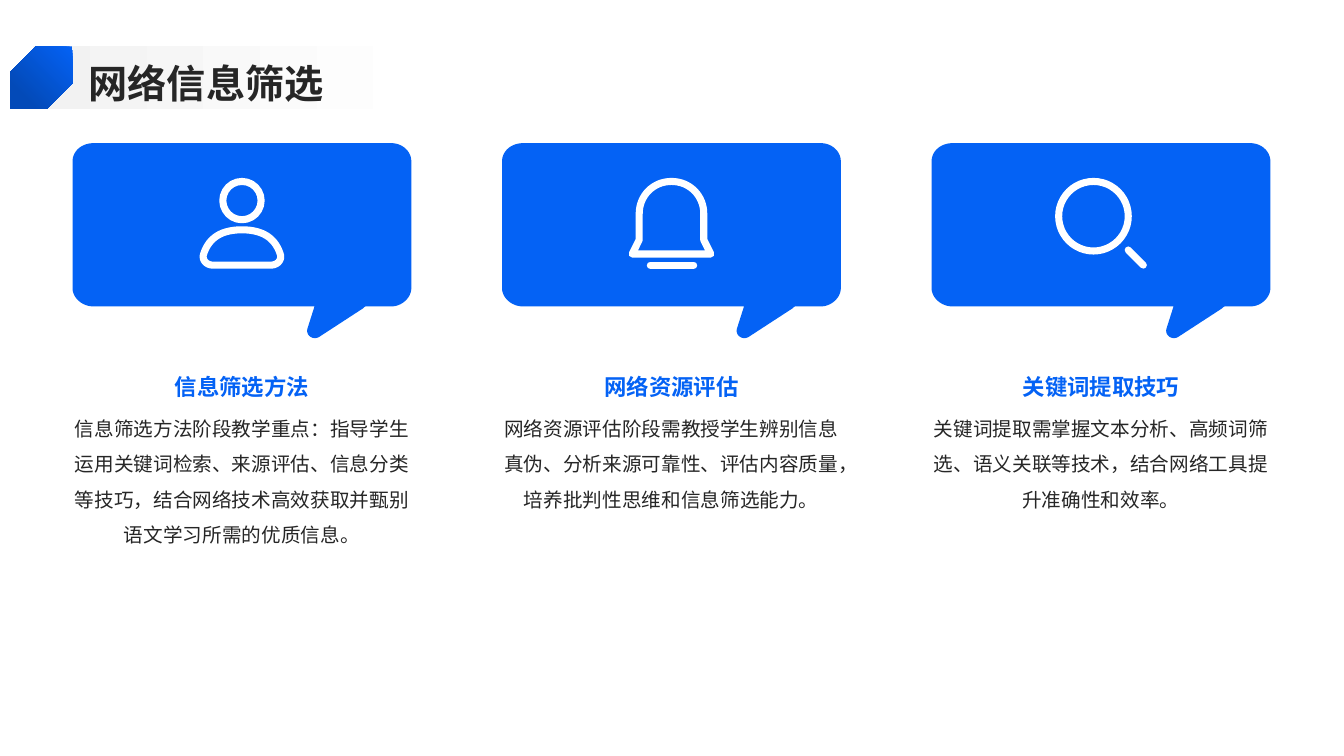
"""Build the slide on screening online information."""
from dataclasses import dataclass

from lxml import etree
from pptx import Presentation
from pptx.dml.color import RGBColor
from pptx.enum.shapes import MSO_CONNECTOR, MSO_SHAPE
from pptx.enum.text import MSO_ANCHOR, MSO_AUTO_SIZE, PP_ALIGN
from pptx.oxml.ns import qn
from pptx.util import Emu, Pt

RECT, SNIP, OVAL = MSO_SHAPE.RECTANGLE, MSO_SHAPE.SNIP_2_DIAG_RECTANGLE, MSO_SHAPE.OVAL
STRAIGHT, NO_FIT = MSO_CONNECTOR.STRAIGHT, MSO_AUTO_SIZE.NONE
TOP, MIDDLE, BOTTOM = MSO_ANCHOR.TOP, MSO_ANCHOR.MIDDLE, MSO_ANCHOR.BOTTOM
LEFT, CENTER = PP_ALIGN.LEFT, PP_ALIGN.CENTER

PX = 9144
FONT = "Noto Sans CJK SC"
COLORS = {"blue": "0462F5", "navy": "034AB8", "ink": "262626",
          "white": "FFFFFF", "mist": "F2F2F2"}
CARD_LEFT, CARD_TOP, CARD_WIDTH, CARD_PITCH = 72, 142, 336, 426
STROKE = 7
CURVE_STEPS = 16

Path = tuple[tuple[int, ...], ...]
Box = tuple[int, int, int, int]

BUBBLE: Path = (
    (316, 0), (21, 0), (9, 0, 0, 8, 0, 18), (0, 144), (0, 153, 9, 162, 21, 162),
    (240, 162), (233, 184), (231, 191, 239, 196, 245, 192), (288, 164),
    (289, 163, 290, 162, 291, 162), (316, 162), (327, 162, 336, 153, 336, 144),
    (336, 18), (336, 8, 327, 0, 316, 0))
SHOULDERS: Path = (
    (168, 86), (143, 86, 134, 98, 130, 110), (128, 116, 133, 121, 139, 121),
    (197, 121), (203, 121, 208, 116, 206, 110), (202, 98, 193, 86, 168, 86))
BELL: Path = (
    (168, 38), (150, 38, 136, 52, 136, 70), (136, 96), (129, 110), (207, 110),
    (200, 96), (200, 70), (200, 52, 186, 38, 168, 38))


@dataclass(frozen=True)
class Icon:
    """Line icon made of circles, outlines and strokes, placed within a card."""
    circles: tuple[Box, ...] = ()
    outlines: tuple[Path, ...] = ()
    strokes: tuple[Box, ...] = ()


@dataclass(frozen=True)
class Card:
    """Speech bubble with its icon, heading and body."""
    icon: Icon
    heading: str
    body: str


@dataclass(frozen=True)
class TextStyle:
    """Look of one kind of text."""
    size: int
    color: str
    bold: bool
    align: PP_ALIGN
    anchor: MSO_ANCHOR
    spacing: float


TITLE = TextStyle(28, "ink", True, LEFT, MIDDLE, 1.1)
HEADING = TextStyle(16, "blue", True, CENTER, BOTTOM, 1.3)
BODY = TextStyle(14, "ink", False, CENTER, TOP, 1.5)

CARDS = (
    Card(Icon(circles=((149, 38, 38, 38),), outlines=(SHOULDERS,)), "信息筛选方法",
         "信息筛选方法阶段教学重点：指导学生运用关键词检索、来源评估、信息分类等技巧，"
         "结合网络技术高效获取并甄别语文学习所需的优质信息。"),
    Card(Icon(outlines=(BELL,), strokes=((147, 121, 190, 121),)), "网络资源评估",
         "网络资源评估阶段需教授学生辨别信息真伪、分析来源可靠性、评估内容质量，"
         "培养批判性思维和信息筛选能力。"),
    Card(Icon(circles=((126, 38, 69, 69),), strokes=((195, 106, 210, 121),)), "关键词提取技巧",
         "关键词提取需掌握文本分析、高频词筛选、语义关联等技术，"
         "结合网络工具提升准确性和效率。"),
)


def rgb(name: str) -> RGBColor:
    """Return a named colour."""
    return RGBColor.from_string(COLORS[name])


def emu(*lengths: float) -> list[Emu]:
    """Turn px into EMU."""
    return [Emu(round(length * PX)) for length in lengths]


def apply(target: object, values: dict[str, object]) -> None:
    """Set each named attribute on the target."""
    for name, value in values.items():
        setattr(target, name, value)


def write(sp, box: Box, text: str, style: TextStyle) -> None:
    """Place a text shape and fill it with one styled paragraph."""
    apply(sp, dict(zip(("left", "top", "width", "height"), emu(*box))))
    tf = sp.text_frame
    apply(tf, {"margin_left": 0, "margin_top": 0, "margin_right": 0, "margin_bottom": 0,
               "word_wrap": True, "auto_size": NO_FIT, "vertical_anchor": style.anchor})
    p = tf.paragraphs[0]
    apply(p, {"alignment": style.align, "line_spacing": style.spacing, "space_before": Pt(0)})
    r = p.add_run()
    r.text = text
    apply(r.font, {"name": FONT, "size": Pt(style.size), "bold": style.bold})
    r.font.color.rgb = rgb(style.color)
    etree.SubElement(r._r.get_or_add_rPr(), qn("a:ea"), typeface=FONT)


def trace(path: Path) -> list[tuple[float, float]]:
    """Turn a path of lines and cubic curves into points."""
    points = [path[0]]
    for segment in path[1:]:
        if len(segment) == 2:
            points.append(segment)
            continue
        controls = (points[-1], segment[:2], segment[2:4], segment[4:])
        for step in range(1, CURVE_STEPS + 1):
            t = step / CURVE_STEPS
            weights = ((1 - t) ** 3, 3 * t * (1 - t) ** 2, 3 * t * t * (1 - t), t ** 3)
            points.append(tuple(sum(w * c[axis] for w, c in zip(weights, controls))
                                for axis in (0, 1)))
    return points


def add_path(s, path: Path, left: int):
    """Draw a closed path within the card at the given left edge."""
    points = [emu(left + x, CARD_TOP + y) for x, y in trace(path)]
    builder = s.shapes.build_freeform(*points[0])
    builder.add_line_segments(points[1:], close=True)
    sp = builder.convert_to_shape()
    sp.shadow.inherit = False
    return sp


def add_stroke_look(sp) -> None:
    """Give a shape a white line with round ends and joins."""
    sp.line.color.rgb = rgb("white")
    sp.line.width = emu(STROKE)[0]
    ln = sp.element.spPr.find(qn("a:ln"))
    ln.set("cap", "rnd")
    etree.SubElement(ln, qn("a:round"))


def add_icon(s, icon: Icon, left: int) -> None:
    """Draw a line icon within the card at the given left edge."""
    rings = [add_path(s, path, left) for path in icon.outlines]
    for x, y, width, height in icon.circles:
        rings.append(s.shapes.add_shape(OVAL, *emu(left + x, CARD_TOP + y, width, height)))
    for sp in rings:
        sp.shadow.inherit = False
        sp.fill.background()
        add_stroke_look(sp)
    for x1, y1, x2, y2 in icon.strokes:
        ends = emu(left + x1, CARD_TOP + y1, left + x2, CARD_TOP + y2)
        line = s.shapes.add_connector(STRAIGHT, *ends)
        add_stroke_look(line)
        etree.SubElement(line.element.spPr, qn("a:effectLst"))


def add_card(s, card: Card, left: int) -> None:
    """Draw one card with its texts."""
    bubble = add_path(s, BUBBLE, left)
    bubble.fill.solid()
    bubble.fill.fore_color.rgb = rgb("blue")
    bubble.line.fill.background()
    add_icon(s, card.icon, left)
    for top, height, text, style in ((402, 275, card.body, BODY), (349, 48, card.heading, HEADING)):
        box = (left, top, CARD_WIDTH, height)
        write(s.shapes.add_textbox(*emu(*box)), box, text, style)


def add_gradient_shape(s, kind: MSO_SHAPE, box: Box, start: str, end: str, angle: int):
    """Draw a borderless shape with a two-colour gradient."""
    sp = s.shapes.add_shape(kind, *emu(*box))
    sp.shadow.inherit = False
    sp.line.fill.background()
    sp.fill.gradient()
    sp.fill.gradient_angle = angle
    for stop, color, position in zip(sp.fill.gradient_stops, (start, end), (0, 0.8)):
        stop.color.rgb = rgb(color)
        stop.position = position
    return sp


def main() -> None:
    """Build and save the slide."""
    prs = Presentation()
    prs.slide_width, prs.slide_height = emu(1333, 750)
    s = prs.slides.add_slide(prs.slide_layouts[5])
    for index, card in enumerate(CARDS):
        add_card(s, card, CARD_LEFT + index * CARD_PITCH)
    band = add_gradient_shape(s, RECT, (33, 46, 492, 62), "mist", "white", 0)
    title = s.shapes.title
    write(title, (88, 54, 1188, 51), "网络信息筛选", TITLE)
    band.element.addnext(title.element)
    badge = add_gradient_shape(s, SNIP, (10, 46, 62, 62), "blue", "navy", 225)
    badge.adjustments[0], badge.adjustments[1] = 0.41, 0
    prs.save("out.pptx")


if __name__ == "__main__":
    main()
